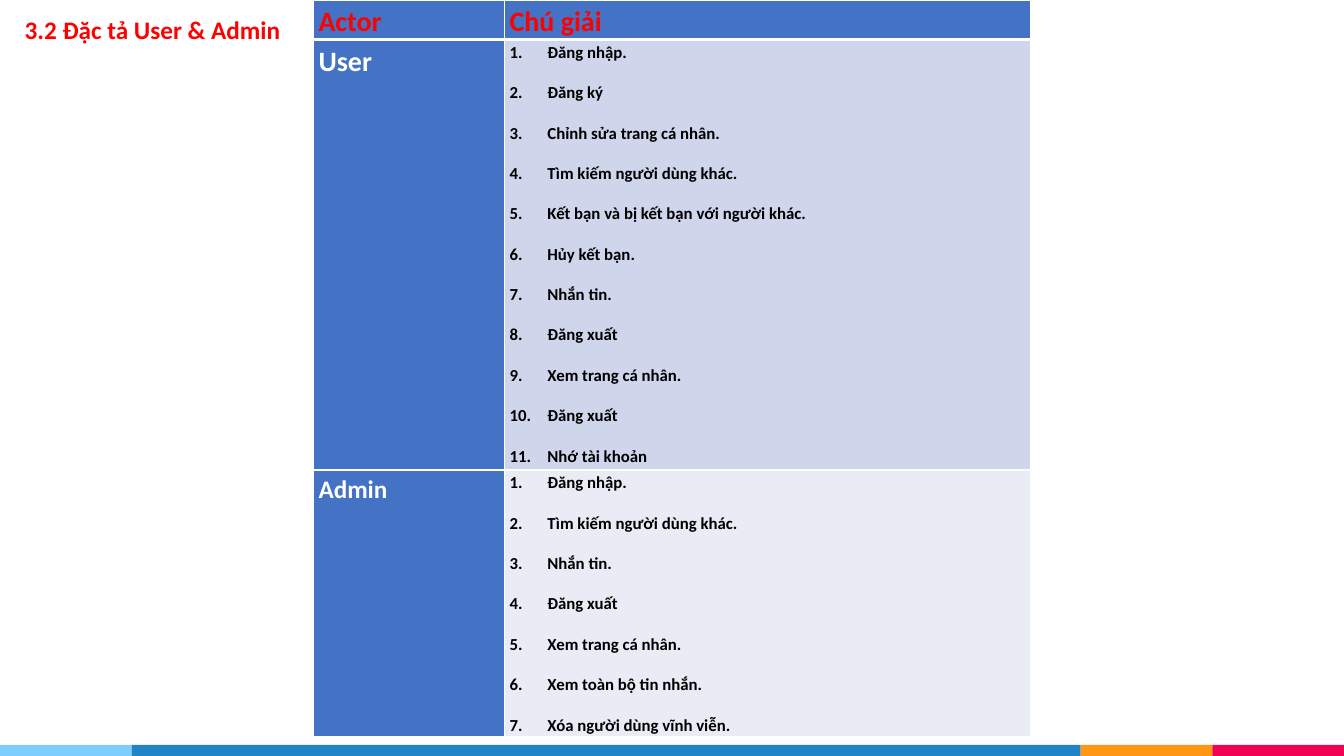
"""Build the User & Admin specification slide."""
from lxml import etree
from pptx import Presentation
from pptx.dml.color import RGBColor
from pptx.enum import shapes
from pptx.oxml.ns import qn
from pptx.util import Pt

COLORS = {
    "red": "FF0000", "white": "FFFFFF", "black": "000000",
    "header": "4472C4", "user": "CFD5EA", "admin": "E9EBF5",
    "sky": "7ECEFD", "blue": "2185C5", "orange": "FF9715", "pink": "F20253",
}


def format_paragraph(paragraph, size, color, spacing=0):
    paragraph.line_spacing = 1.15
    paragraph.space_before = paragraph.space_after = Pt(spacing)
    for run in paragraph.runs:
        run.font.name = "Calibri"
        run.font.size = Pt(size)
        run.font.bold = True
        run.font.color.rgb = RGBColor.from_string(COLORS[color])


def add_borders(cell, bottom_width):
    widths = {"a:lnL": 1, "a:lnR": 1, "a:lnT": 1, "a:lnB": bottom_width}
    properties = cell._tc.get_or_add_tcPr()
    for index, (tag, width) in enumerate(widths.items()):
        line = etree.Element(qn(tag), w=str(Pt(width)))
        fill = etree.SubElement(line, qn("a:solidFill"))
        etree.SubElement(fill, qn("a:srgbClr"), val=COLORS["white"])
        properties.insert(index, line)


presentation = Presentation()
presentation.slide_width = Pt(960)
presentation.slide_height = Pt(540)
slide = presentation.slides.add_slide(presentation.slide_layouts[6])

left = 0
for color, width in [("sky", 94), ("blue", 678), ("orange", 94), ("pink", 94)]:
    strip = slide.shapes.add_shape(
        shapes.MSO_SHAPE.RECTANGLE, Pt(left), Pt(532), Pt(width), Pt(8))
    strip.shadow.inherit = False
    strip.fill.solid()
    strip.fill.fore_color.rgb = RGBColor.from_string(COLORS[color])
    strip.line.fill.background()
    left += width

user_actions = [
    "Đăng nhập.", "Đăng ký", "Chỉnh sửa trang cá nhân.",
    "Tìm kiếm người dùng khác.", "Kết bạn và bị kết bạn với người khác.",
    "Hủy kết bạn.", "Nhắn tin.", "Đăng xuất", "Xem trang cá nhân.",
    "Đăng xuất", "Nhớ tài khoản",
]
admin_actions = [
    "Đăng nhập.", "Tìm kiếm người dùng khác.", "Nhắn tin.", "Đăng xuất",
    "Xem trang cá nhân.", "Xem toàn bộ tin nhắn.", "Xóa người dùng vĩnh viễn.",
]
rows = [
    [(["Actor"], 20, "red", "header"), (["Chú giải"], 20, "red", "header")],
    [(["User"], 20, "white", "header"), (user_actions, 12, "black", "user")],
    [(["Admin"], 18, "white", "header"), (admin_actions, 12, "black", "admin")],
]
table = slide.shapes.add_table(
    3, 2, Pt(223.9), Pt(0), Pt(512.3), Pt(521.3)).table
for column, width in zip(table.columns, [136.5, 375.8]):
    column.width = Pt(width)
for row, height in zip(table.rows, [23, 307.5, 190.8]):
    row.height = Pt(height)

for row_index, row in enumerate(rows):
    for column_index, (lines, size, color, fill) in enumerate(row):
        cell = table.cell(row_index, column_index)
        cell.margin_left = cell.margin_right = Pt(3.6)
        cell.margin_top = cell.margin_bottom = Pt(0)
        cell.fill.solid()
        cell.fill.fore_color.rgb = RGBColor.from_string(COLORS[fill])
        add_borders(cell, 3 if row_index == 0 else 1)
        cell.text_frame.text = "\n".join(lines)
        for paragraph in cell.text_frame.paragraphs:
            format_paragraph(paragraph, size, color, 6)
            if len(lines) > 1:
                properties = paragraph._p.get_or_add_pPr()
                properties.set("marL", str(Pt(27)))
                properties.set("indent", str(Pt(-27)))
                etree.SubElement(properties, qn("a:buFont"), typeface="+mj-lt")
                etree.SubElement(properties, qn("a:buAutoNum"), type="arabicPeriod")

title = slide.shapes.add_textbox(Pt(-16.5), Pt(3.6), Pt(480), Pt(31))
title.text_frame.word_wrap = True
title.text_frame.text = "3.2 Đặc tả User & Admin"
paragraph = title.text_frame.paragraphs[0]
format_paragraph(paragraph, 18, "red")
paragraph._p.get_or_add_pPr().set("marL", str(Pt(27)))

presentation.save("out.pptx")
